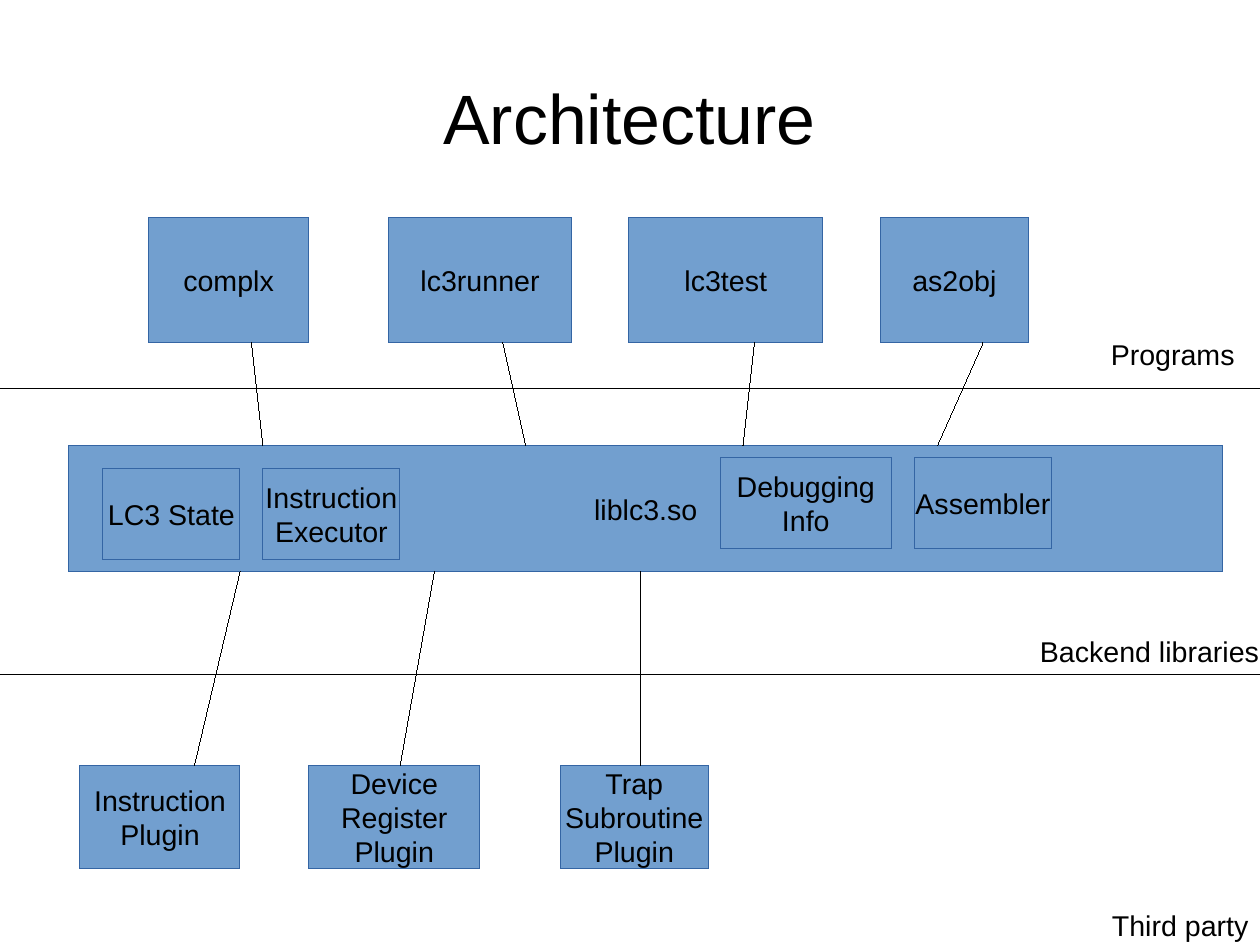
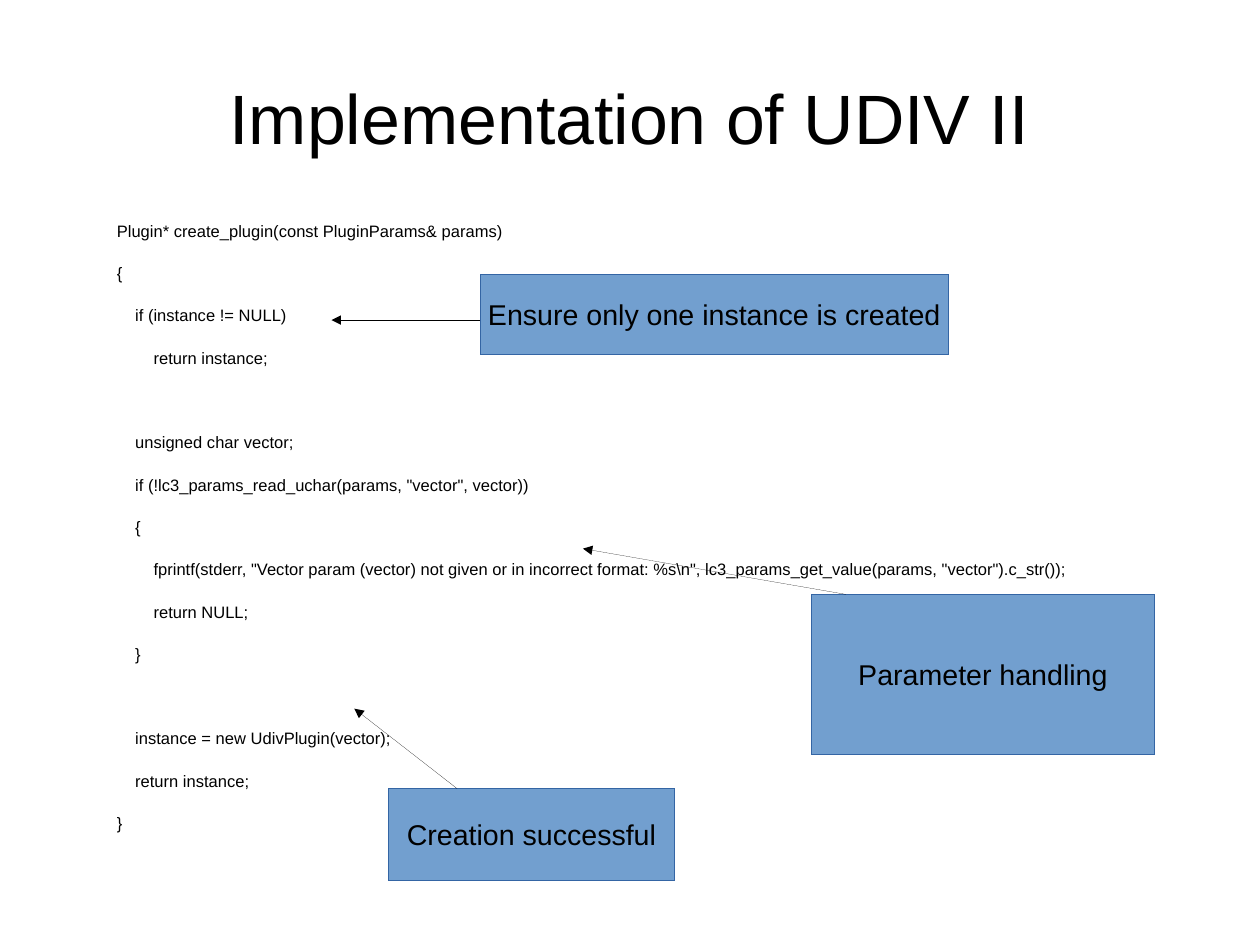
from dataclasses import dataclass

from lxml import etree
from pptx import Presentation
from pptx import util as u
from pptx.dml.color import RGBColor
from pptx.enum import shapes, text
from pptx.oxml.ns import qn


@dataclass(frozen=True)
class Theme:
    font: str = "Arial"
    ink: RGBColor = RGBColor(0x00, 0x00, 0x00)
    box_fill: RGBColor = RGBColor(0x72, 0x9F, 0xCF)
    box_edge: RGBColor = RGBColor(0x34, 0x65, 0xA4)
    title_size: float = 44
    label_size: float = 18
    code_size: float = 10.4
    code_margin: float = 34
    code_step: float = 11.56
    code_gap: float = 14.2
    block_gap: float = 40.8
    grid: float = 7.2
    slide_width: float = 793.7
    slide_height: float = 595.28


class Deck:
    def __init__(self, theme):
        self.theme = theme
        self.prs = Presentation()
        self.prs.slide_width = u.Pt(theme.slide_width)
        self.prs.slide_height = u.Pt(theme.slide_height)
        self.slide = None

    def cells(self, *counts):
        return [u.Pt(count * self.theme.grid) for count in counts]

    def style(self, paragraph, size, align=text.PP_ALIGN.LEFT):
        paragraph.alignment = align
        paragraph.font.name = self.theme.font
        paragraph.font.size = u.Pt(size)
        paragraph.font.color.rgb = self.theme.ink

    def hairline(self, line, color):
        line.color.rgb = color
        outline = line._get_or_add_ln()
        outline.set("w", "0")
        return outline

    def clear_insets(self, frame):
        frame.margin_left = frame.margin_right = u.Pt(0)
        frame.margin_top = frame.margin_bottom = u.Pt(0)

    def add_slide(self, heading):
        self.slide = self.prs.slides.add_slide(self.prs.slide_layouts[5])
        title = self.slide.shapes.title
        title.left, title.top = u.Pt(39.6), u.Pt(23.8)
        title.width, title.height = u.Pt(714.3), u.Pt(99.4)
        frame = title.text_frame
        frame.text = heading
        frame.auto_size = text.MSO_AUTO_SIZE.NONE
        frame.vertical_anchor = text.MSO_ANCHOR.MIDDLE
        self.clear_insets(frame)
        self.style(frame.paragraphs[0], self.theme.title_size, text.PP_ALIGN.CENTER)

    def box(self, caption, left, top, width, height):
        box = self.slide.shapes.add_shape(
            shapes.MSO_SHAPE.RECTANGLE, *self.cells(left, top, width, height))
        box.shadow.inherit = False
        box.fill.solid()
        box.fill.fore_color.rgb = self.theme.box_fill
        self.hairline(box.line, self.theme.box_edge)
        frame = box.text_frame
        frame.text = caption
        frame.word_wrap = False
        frame.vertical_anchor = text.MSO_ANCHOR.MIDDLE
        for paragraph in frame.paragraphs:
            self.style(paragraph, self.theme.label_size, text.PP_ALIGN.CENTER)

    def line(self, start, end, arrow=False):
        line = self.slide.shapes.add_connector(
            shapes.MSO_CONNECTOR.STRAIGHT, *self.cells(*start, *end))
        outline = self.hairline(line.line, self.theme.ink)
        if arrow:
            etree.SubElement(outline, qn("a:tailEnd"), type="triangle")
        etree.SubElement(line._element.spPr, qn("a:effectLst"))

    def label(self, caption, left, top, width):
        label = self.slide.shapes.add_textbox(*self.cells(left, top, width, 3.8))
        frame = label.text_frame
        frame.text = caption
        frame.word_wrap = True
        frame.margin_right = u.Pt(0)
        self.style(frame.paragraphs[0], self.theme.label_size)

    def code(self, blocks, left, top, width, height):
        listing = self.slide.shapes.add_textbox(*self.cells(left, top, width, height))
        frame = listing.text_frame
        frame.word_wrap = True
        self.clear_insets(frame)
        frame.text = "\n".join(source for block in blocks for _, source in block)
        paragraphs = iter(frame.paragraphs)
        for block in blocks:
            for (level, _), paragraph in zip(block, paragraphs):
                self.style(paragraph, self.theme.code_size)
                paragraph.space_after = u.Pt(self.theme.code_gap)
                margin = u.Pt(self.theme.code_margin + level * self.theme.code_step)
                paragraph._p.get_or_add_pPr().set("marL", str(margin))
            if block is not blocks[-1]:
                paragraph.space_after = u.Pt(self.theme.block_gap)


def architecture(deck):
    deck.add_slide("Architecture")
    slide_end = deck.theme.slide_width / deck.theme.grid
    programs_top, library_top, plugins_top = 19, 39, 67
    programs_bottom, library_bottom = 30, 50

    programs = [("complx", 13, 14), ("lc3runner", 34, 16),
                ("lc3test", 55, 17), ("as2obj", 77, 13)]
    for name, left, width in programs:
        deck.box(name, left, programs_top, width, programs_bottom - programs_top)

    deck.box("liblc3.so", 6, library_top, 101, library_bottom - library_top)
    for boundary in (34, 59):
        deck.line((0, boundary), (slide_end, boundary))

    plugins = [("Instruction\nPlugin", 7, 14),
               ("Device\nRegister\nPlugin", 27, 15),
               ("Trap\nSubroutine\nPlugin", 49, 13)]
    for name, left, width in plugins:
        deck.box(name, left, plugins_top, width, 9)

    for program_x, library_x in [(22, 23), (44, 46), (66, 65), (86, 82)]:
        deck.line((program_x, programs_bottom), (library_x, library_top))
    for library_x, plugin_x in [(21, 17), (38, 35), (56, 56)]:
        deck.line((library_x, library_bottom), (plugin_x, plugins_top))

    components = [("LC3 State", 9, 41, 12), ("Instruction\nExecutor", 23, 41, 12),
                  ("Debugging\nInfo", 63, 40, 15), ("Assembler", 80, 40, 12)]
    for name, left, top, width in components:
        deck.box(name, left, top, width, 8)

    deck.label("Programs", 96.2, 29, 13)
    deck.label("Backend libraries", 90, 55, 20.2)
    deck.label("Third party", 96.3, 78.9, 13.9)


def udiv_implementation(deck):
    deck.add_slide("Implementation of UDIV II")
    instance_check = [
        (0, "Plugin* create_plugin(const PluginParams& params)"),
        (0, "{"),
        (1, "if (instance != NULL)"),
        (2, "return instance;"),
    ]
    parameter_check = [
        (1, "unsigned char vector;"),
        (1, 'if (!lc3_params_read_uchar(params, "vector", vector))'),
        (1, "{"),
        (2, 'fprintf(stderr, "Vector param (vector) not given or in incorrect format: %s\\n", '
            'lc3_params_get_value(params, "vector").c_str());'),
        (2, "return NULL;"),
        (1, "}"),
    ]
    creation = [
        (1, "instance = new UdivPlugin(vector);"),
        (1, "return instance;"),
        (0, "}"),
    ]
    deck.code([instance_check, parameter_check, creation], 5.5, 19.3, 99.2, 47.9)

    remarks = [
        ("Ensure only one instance is created", (42, 24, 41, 7), (42, 28), (29, 28)),
        ("Parameter handling", (71, 52, 30, 14), (74, 52), (51, 48)),
        ("Creation successful", (34, 69, 25, 8), (40, 69), (31, 62)),
    ]
    for remark, area, start, end in remarks:
        deck.box(remark, *area)
        deck.line(start, end, arrow=True)


def main():
    deck = Deck(Theme())
    architecture(deck)
    udiv_implementation(deck)
    deck.prs.save("out.pptx")


if __name__ == "__main__":
    main()
